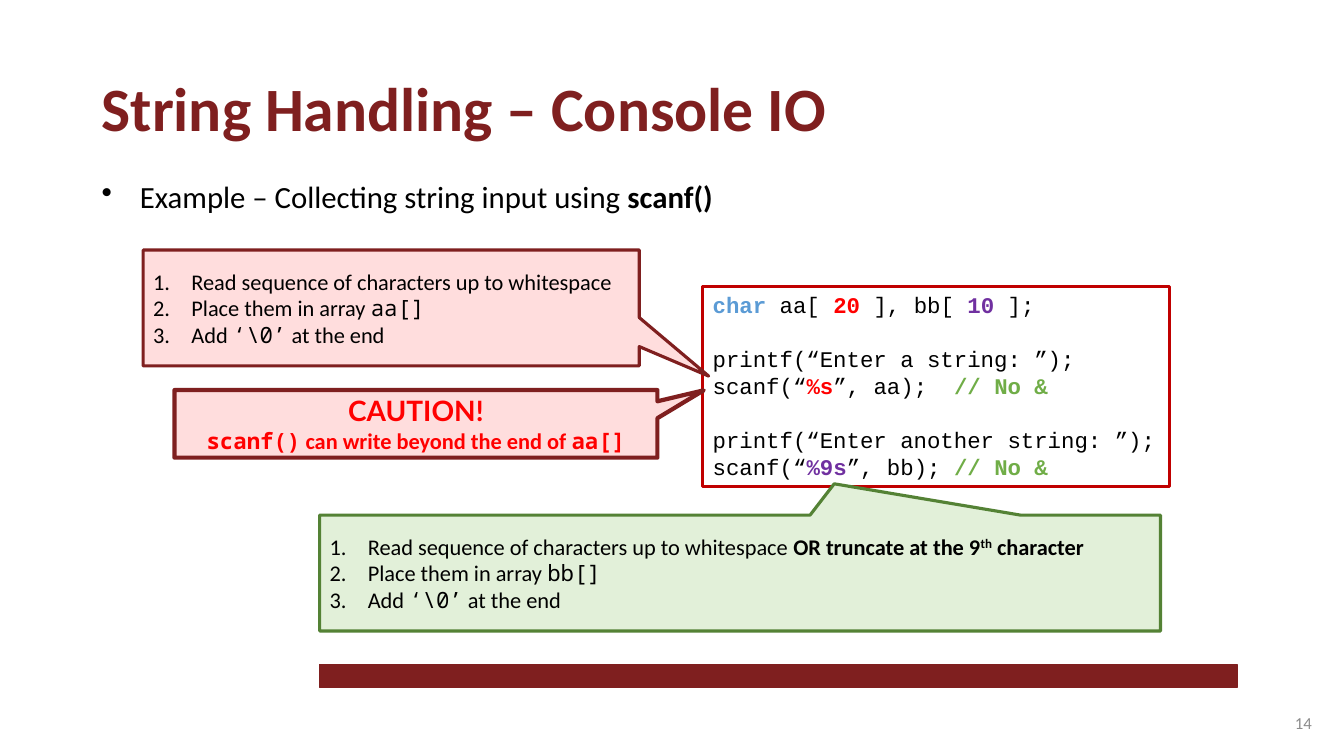
from dataclasses import dataclass

from lxml.etree import SubElement
from pptx import Presentation
from pptx.dml.color import RGBColor
from pptx.enum.shapes import MSO_SHAPE
from pptx.enum.text import MSO_ANCHOR, PP_ALIGN
from pptx.oxml.ns import qn
from pptx.util import Inches, Pt


@dataclass(frozen=True)
class Theme:
    maroon: str = "7F1F1F"
    pink: str = "FFDDDD"
    pale_green: str = "E2F0D9"
    dark_green: str = "548235"
    code_border: str = "C00000"
    keyword: str = "5B9BD5"
    comment: str = "70AD47"
    red: str = "FF0000"
    purple: str = "7030A0"
    black: str = "000000"
    white: str = "FFFFFF"
    grey: str = "8C8C8C"
    body: str = "Calibri"
    code: str = "Courier New"
    mono: str = "Noto Sans Mono"
    heading: str = "Lato"
    title_size: int = 44
    lead_size: int = 22
    caution_size: int = 20
    text_size: int = 16
    number_size: int = 12


THEME = Theme()
MONO = {"font": THEME.mono}
BOLD = {"bold": True}


def add_run(p, text, *, font=THEME.body, size=THEME.text_size,
            color=THEME.black, bold=False, superscript=False):
    r = p.add_run()
    r.text = text
    r.font.name = font
    r.font.size = Pt(size)
    r.font.bold = bold
    r.font.color.rgb = RGBColor.from_string(color)
    if superscript:
        r.font._element.set("baseline", "30000")


def add_bullet(p, tag, **attributes):
    """Give a paragraph a hanging indent and the bullet element named by tag."""
    pPr = p._p.get_or_add_pPr()
    pPr.set("marL", str(Inches(0.38)))
    pPr.set("indent", str(Inches(-0.38)))
    SubElement(pPr, qn(tag), attributes)


def add_text(sp, lines, *, align=PP_ALIGN.LEFT, anchor=MSO_ANCHOR.TOP,
             wrap=True, bullet=None, gaps=(), gap=0, **base):
    """Fill sp with lines of (text, format) runs; base is the common format.

    Lines whose index is in gaps get gap points of space above them.
    """
    tf = sp.text_frame
    tf.word_wrap = wrap
    tf.vertical_anchor = anchor
    for i, line in enumerate(lines):
        p = tf.add_paragraph() if i else tf.paragraphs[0]
        p.alignment = align
        if i in gaps:
            p.space_before = Pt(gap)
        if bullet:
            add_bullet(p, **bullet)
        for text, style in line:
            add_run(p, text, **{**base, **style})


def add_box(s, kind, box, fill, line, width):
    sp = s.shapes.add_shape(kind, *map(Inches, box))
    sp.shadow.inherit = False
    sp.fill.solid()
    sp.fill.fore_color.rgb = RGBColor.from_string(fill)
    sp.line.color.rgb = RGBColor.from_string(line)
    sp.line.width = Pt(width)
    return sp


def add_callout(s, box, tip, fill, line, lines, width=2.25, **style):
    """Add a callout whose tip is an offset from its centre in box sizes."""
    sp = add_box(s, MSO_SHAPE.RECTANGULAR_CALLOUT, box, fill, line, width)
    sp.adjustments[0], sp.adjustments[1] = tip
    add_text(sp, lines, anchor=MSO_ANCHOR.MIDDLE, **style)


def add_label(s, box, lines, **style):
    add_text(s.shapes.add_textbox(*map(Inches, box)), lines, **style)


def scan_steps(array, *limit):
    """Steps scanf() takes to fill array, with an optional limit on reading."""
    return [
        [("Read sequence of characters up to whitespace", {}), *limit],
        [("Place them in array ", {}), (f"{array}[]", MONO)],
        [("Add ", {}), ("‘\\0’", MONO), (" at the end", {})],
    ]


def add_code(s):
    first = {"color": THEME.red, "bold": True}
    second = {"color": THEME.purple, "bold": True}
    comment = ("// No &", {"color": THEME.comment, "bold": True})
    lines = [
        [("char ", {"color": THEME.keyword, "bold": True}), ("aa[ ", {}),
         ("20", first), (" ], bb[ ", {}), ("10", second), (" ];", {})],
        [("printf(“Enter a string: ”);", {})],
        [("scanf(“", {}), ("%s", first), ("”, aa);  ", {}), comment],
        [("printf(“Enter another string: ”);", {})],
        [("scanf(“", {}), ("%9s", second), ("”, bb); ", {}), comment],
    ]
    sp = add_box(s, MSO_SHAPE.RECTANGLE, (6.97, 2.84, 4.63, 1.99),
                 THEME.white, THEME.code_border, 2.25)
    add_text(sp, lines, font=THEME.code, gaps=(1, 3), gap=19.3)


def add_callouts(s):
    numbered = {"tag": "a:buAutoNum", "type": "arabicPeriod"}
    add_callout(s, (1.42, 2.48, 4.92, 1.15), (0.64, 0.588),
                THEME.pink, THEME.maroon, scan_steps("aa"), bullet=numbered)

    caution = [
        [("CAUTION!", {"font": THEME.heading, "size": THEME.caution_size})],
        [("scanf()", MONO), (" can write beyond the end of ", {}),
         ("aa[]", MONO)],
    ]
    add_callout(s, (1.73, 3.87, 4.79, 0.67), (0.596, -0.496),
                THEME.pink, THEME.maroon, caution, width=3,
                align=PP_ALIGN.CENTER, color=THEME.red, bold=True)

    limit = [(" ", {}), ("OR truncate at the 9", BOLD),
             ("th", {"bold": True, "superscript": True}),
             (" character", BOLD)]
    add_callout(s, (3.17, 5.11, 8.34, 1.15), (0.112, -0.77),
                THEME.pale_green, THEME.dark_green,
                scan_steps("bb", *limit), bullet=numbered)


def main():
    prs = Presentation()
    prs.slide_width, prs.slide_height = Inches(13.33), Inches(7.5)
    s = prs.slides.add_slide(prs.slide_layouts[6])

    add_code(s)
    add_box(s, MSO_SHAPE.RECTANGLE, (3.17, 6.59, 9.1, 0.23),
            THEME.maroon, THEME.maroon, 1)
    add_label(s, (0.91, 0.64, 7.46, 0.84),
              [[("String Handling – Console IO", BOLD)]],
              wrap=False, size=THEME.title_size, color=THEME.maroon)
    add_label(s, (0.91, 1.71, 11.12, 0.47),
              [[("Example – Collecting string input using ", {}),
                ("scanf()", BOLD)]],
              size=THEME.lead_size, bullet={"tag": "a:buChar", "char": "•"})
    add_label(s, (10.11, 6.97, 3, 0.4), [[("14", {})]],
              align=PP_ALIGN.RIGHT, anchor=MSO_ANCHOR.MIDDLE,
              size=THEME.number_size, color=THEME.grey)
    add_callouts(s)

    prs.save("out.pptx")


if __name__ == "__main__":
    main()
